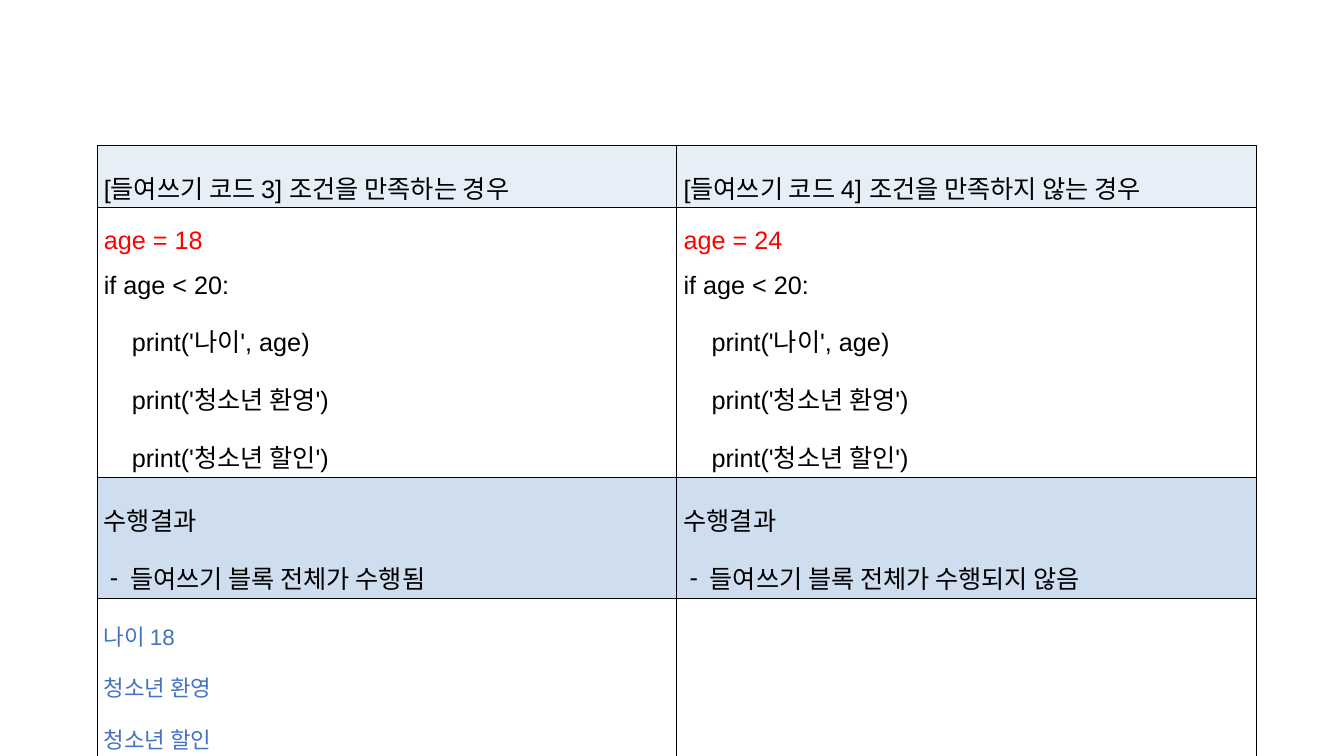
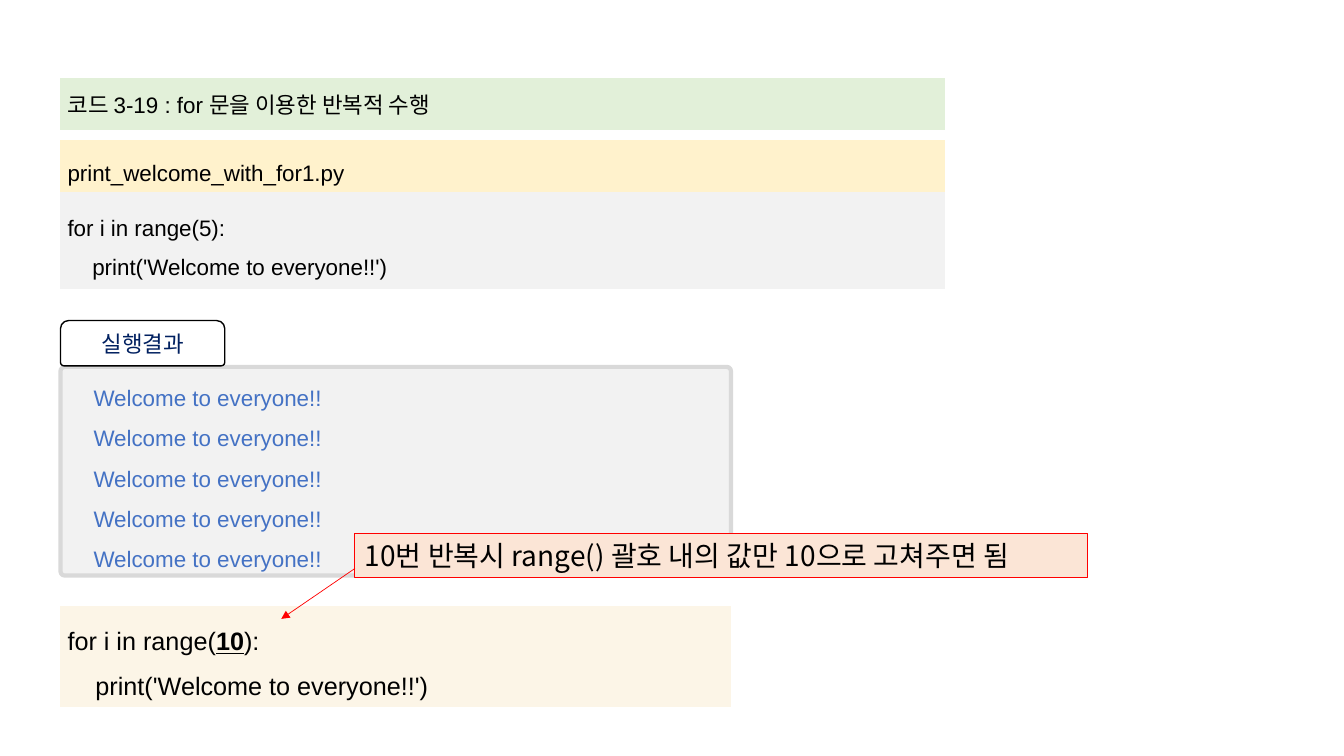
from lxml.etree import SubElement
from pptx import Presentation
from pptx.dml.color import RGBColor
from pptx.enum.shapes import MSO_CONNECTOR, MSO_SHAPE
from pptx.enum.text import MSO_ANCHOR, PP_ALIGN
from pptx.oxml import parse_xml
from pptx.oxml.ns import nsdecls, qn
from pptx.util import Inches, Pt

LATIN = "Arial"
KOREAN = "Noto Sans CJK KR"
BLACK, RED, BLUE, NAVY = "000000", "FF0000", "4472C4", "002060"
WHITE, GREY, EDGE = "FFFFFF", "F2F2F2", "D9D9D9"
HEADER, RESULT = "E6EEF7", "CEDEEF"
GREEN, YELLOW, CREAM, PEACH = "E2F0D9", "FFF2CC", "FCF5E7", "FBE5D6"
NO_STYLE = "{2D5ABB26-0587-4C30-8999-92F81FD0307C}"
LEFT = 0.6
WELCOME = "Welcome to everyone!!"
PRINT_WELCOME = f"    print('{WELCOME}')"


def colour(value):
    return RGBColor.from_string(value)


def paint(shape, fill, line, width):
    shape.shadow.inherit = False
    shape.fill.solid()
    shape.fill.fore_color.rgb = colour(fill)
    shape.line.color.rgb = colour(line)
    shape.line.width = Pt(width)


def add_dash(para):
    properties = para._p.get_or_add_pPr()
    properties.set("marL", str(Inches(0.26)))
    properties.set("indent", str(-Inches(0.2)))
    SubElement(properties, qn("a:buFont")).set("typeface", LATIN)
    SubElement(properties, qn("a:buChar")).set("char", "-")


def write(frame, lines, size, spacing=1.0, align=PP_ALIGN.LEFT, latin=LATIN):
    for index, (text, ink) in enumerate(lines):
        para = frame.paragraphs[0] if index == 0 else frame.add_paragraph()
        para.alignment = align
        para.line_spacing = spacing
        if text.startswith("- "):
            add_dash(para)
            text = text[2:]
        for order, part in enumerate(text.split("**")):
            span = para.add_run()
            span.text = part
            if order % 2:
                span.font.bold = span.font.underline = True
        para.font.size = Pt(size)
        para.font.color.rgb = colour(ink)
        para.font.name = latin
        defaults = para._p.pPr.find(qn("a:defRPr"))
        SubElement(defaults, qn("a:ea")).set("typeface", KOREAN)


def add_borders(cell):
    properties = cell._tc.get_or_add_tcPr()
    for index, side in enumerate(("lnL", "lnR", "lnT", "lnB")):
        properties.insert(index, parse_xml(
            f'<a:{side} {nsdecls("a")} w="{Pt(0.28)}"><a:solidFill>'
            f'<a:srgbClr val="{BLACK}"/></a:solidFill></a:{side}>'))


def add_grid(page, left, top, width, heights, columns):
    table = page.shapes.add_table(
        len(heights), columns, Inches(left), Inches(top),
        Inches(width), Inches(sum(heights))).table
    table.first_row = table.horz_banding = False
    table._tbl.tblPr.find(qn("a:tableStyleId")).text = NO_STYLE
    for row, height in zip(table.rows, heights):
        row.height = Inches(height)
    return table


def fill_cell(cell, lines, size, fill=None, spacing=1.6):
    cell.margin_left = cell.margin_right = Inches(0.07)
    cell.margin_top = cell.margin_bottom = Inches(0.02)
    cell.vertical_anchor = MSO_ANCHOR.MIDDLE
    if fill:
        cell.fill.solid()
        cell.fill.fore_color.rgb = colour(fill)
    else:
        cell.fill.background()
    align = PP_ALIGN.JUSTIFY if spacing > 1 else PP_ALIGN.LEFT
    write(cell.text_frame, lines, size, spacing, align)


def black(*texts):
    return [(text, BLACK) for text in texts]


def age_case(number, condition, age, outcome, output):
    code = [(f"age = {age}", RED)] + black(
        "if age < 20:", "    print('나이', age)",
        "    print('청소년 환영')", "    print('청소년 할인')")
    return [
        (black(f"[들여쓰기 코드 {number}] {condition}"), 18, HEADER),
        (code, 18, None),
        (black("수행결과", f"- {outcome}"), 18, RESULT),
        ([(text, BLUE) for text in output], 16, None),
    ]


def comparison_slide(page):
    cases = (
        age_case(3, "조건을 만족하는 경우", 18, "들여쓰기 블록 전체가 수행됨",
                 ("나이 18", "청소년 환영", "청소년 할인")),
        age_case(4, "조건을 만족하지 않는 경우", 24, "들여쓰기 블록 전체가 수행되지 않음", ()),
    )
    table = add_grid(page, 0.96, 1.44, 11.5, (0.62, 2.67, 1.2, 1.56), len(cases))
    for column, case in enumerate(cases):
        for row, (lines, size, fill) in enumerate(case):
            cell = table.cell(row, column)
            fill_cell(cell, lines, size, fill)
            add_borders(cell)


def code_listing(page, left, top, width):
    table = add_grid(page, left, top, width, (0.52, 0.1, 0.52, 0.96), 1)
    title, gap, file_name, code = (table.cell(row, 0) for row in range(4))
    fill_cell(title, black("코드 3-19 : for 문을 이용한 반복적 수행"), 16, GREEN, 1.0)
    fill_cell(gap, [], 1)
    blank = gap.text_frame.paragraphs[0]._p
    SubElement(blank, qn("a:endParaRPr")).set("sz", "100")
    fill_cell(file_name, black("print_welcome_with_for1.py"), 16, YELLOW)
    fill_cell(code, black("for i in range(5):", PRINT_WELCOME), 16, GREY)


def output_panel(page, left, top, width, height):
    tab_height = 0.45
    panel = page.shapes.add_shape(
        MSO_SHAPE.ROUNDED_RECTANGLE, Inches(left), Inches(top + tab_height + 0.01),
        Inches(width), Inches(height - tab_height - 0.01))
    panel.adjustments[0] = 0.02
    paint(panel, GREY, EDGE, 3)
    tab = page.shapes.add_shape(
        MSO_SHAPE.ROUND_2_SAME_RECTANGLE, Inches(left), Inches(top),
        Inches(1.63), Inches(tab_height))
    tab.adjustments[0] = 0.18
    tab.adjustments[1] = 0.08
    paint(tab, WHITE, BLACK, 1)
    tab.text_frame.vertical_anchor = MSO_ANCHOR.MIDDLE
    write(tab.text_frame, [("실행결과", NAVY)], 16,
          align=PP_ALIGN.CENTER, latin=KOREAN)
    box = page.shapes.add_textbox(
        Inches(left + 0.23), Inches(top + tab_height),
        Inches(width - 0.59), Inches(height - tab_height))
    box.text_frame.word_wrap = True
    write(box.text_frame, [(WELCOME, BLUE)] * 5, 16, 1.5)


def changed_code(page, left, top, width):
    table = add_grid(page, left, top, width, (1.0,), 1)
    fill_cell(table.cell(0, 0), black("for i in range(**10**):", PRINT_WELCOME), 18, CREAM)


def callout(page, left, top, width, height):
    label = page.shapes.add_shape(
        MSO_SHAPE.RECTANGLE, Inches(left), Inches(top), Inches(width), Inches(height))
    paint(label, PEACH, RED, 0.75)
    label.text_frame.word_wrap = False
    label.text_frame.vertical_anchor = MSO_ANCHOR.TOP
    write(label.text_frame, black("10번 반복시 range() 괄호 내의 값만 10으로 고쳐주면 됨"),
          20, latin=KOREAN)
    arrow = page.shapes.add_connector(
        MSO_CONNECTOR.STRAIGHT, Inches(left), Inches(top + 0.35),
        Inches(left - 0.73), Inches(top + 0.85))
    arrow.line.color.rgb = colour(RED)
    arrow.line.width = Pt(0.5)
    SubElement(arrow.line._get_or_add_ln(), qn("a:tailEnd")).set("type", "triangle")
    SubElement(arrow._element.spPr, qn("a:effectLst"))


def loop_slide(page):
    code_listing(page, LEFT, 0.77, 8.77)
    output_panel(page, LEFT, 3.18, 6.65, 2.53)
    changed_code(page, LEFT, 6.01, 6.65)
    callout(page, 3.52, 5.29, 7.27, 0.44)


def main():
    deck = Presentation()
    deck.slide_width = Inches(13.33)
    deck.slide_height = Inches(7.5)
    for build in (comparison_slide, loop_slide):
        build(deck.slides.add_slide(deck.slide_layouts[6]))
    deck.save("out.pptx")


if __name__ == "__main__":
    main()
